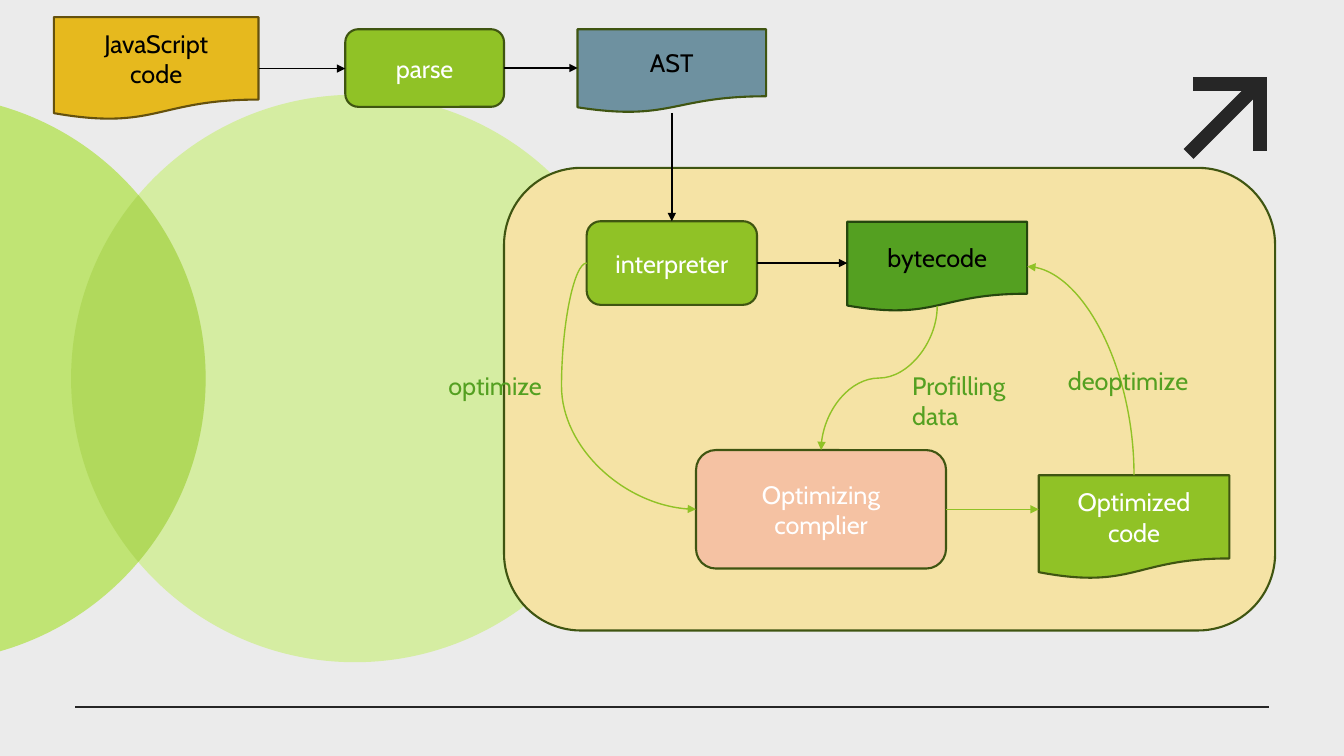
from dataclasses import dataclass
from math import acos, cos, pi, sin, tan

from lxml.etree import SubElement
from pptx import Presentation
from pptx.dml.color import RGBColor
from pptx.enum.shapes import MSO_CONNECTOR, MSO_SHAPE
from pptx.enum.text import MSO_ANCHOR, PP_ALIGN
from pptx.oxml.ns import qn
from pptx.util import Inches, Pt

UNIT = Inches(0.1)
COLUMNS, ROWS = 133.33, 75
COLORS = {
    "background": "EBEBEB", "ink": "262626", "black": "000000", "white": "FFFFFF",
    "pale": "D5EDA2", "light": "C0E474", "lime": "90C226", "green": "54A021",
    "sand": "F5E3A5", "gold": "E6B91E", "slate": "6E91A0", "peach": "F5C2A3",
    "olive": "3F5511", "brown": "65510D", "forest": "25460E",
}


@dataclass
class Box:
    """A rectangle in grid columns and rows."""
    left: float
    top: float
    width: float
    height: float

    def inner(self, left, top, width, height):
        """Return a box placed relative to this one."""
        return Box(self.left + left, self.top + top, width, height)

    def point(self, across, down):
        """Return the point at the given shares of width and height."""
        return self.left + across * self.width, self.top + down * self.height

    def lengths(self):
        """Return the four lengths for python-pptx."""
        return [round(value * UNIT) for value in (self.left, self.top, self.width, self.height)]


def color(name):
    """Return a named colour."""
    return RGBColor.from_string(COLORS[name])


def apply(target, values):
    """Set every attribute in a dict of format values."""
    for name, value in values.items():
        setattr(target, name, value)


def paint(shape, fill, outline=None):
    """Give a shape its fill and outline, without a shadow."""
    shape.shadow.inherit = False
    shape.fill.solid()
    shape.fill.fore_color.rgb = color(fill)
    if outline:
        shape.line.color.rgb = color(outline)
        shape.line.width = Pt(1.5)
    else:
        shape.line.fill.background()


def write(shape, text, text_color, alignment, anchor):
    """Write formatted text into a shape."""
    frame = shape.text_frame
    apply(frame, {"text": text, "word_wrap": True, "vertical_anchor": anchor})
    for paragraph in frame.paragraphs:
        paragraph.alignment = alignment
        for run in paragraph.runs:
            apply(run.font, {"name": "Cabin", "size": Pt(18)})
            run.font.color.rgb = color(text_color)


def add_node(slide, box, kind, fill, outline, text="", text_color="white"):
    """Add one diagram node and return its box."""
    shape = slide.shapes.add_shape(kind, *box.lengths())
    paint(shape, fill, outline)
    if text:
        write(shape, text, text_color, PP_ALIGN.CENTER, MSO_ANCHOR.MIDDLE)
    return box


def add_label(slide, box, text):
    """Add a green caption beside an arrow."""
    write(slide.shapes.add_textbox(*box.lengths()), text, "green", PP_ALIGN.LEFT, MSO_ANCHOR.TOP)


def add_line(slide, start, end, line_color, width=1, arrow=True, kind=MSO_CONNECTOR.STRAIGHT):
    """Add a connector between two grid points."""
    ends = [round(value * UNIT) for value in (*start, *end)]
    connector = slide.shapes.add_connector(kind, *ends)
    connector.line.color.rgb = color(line_color)
    connector.line.width = Pt(width)
    if arrow:
        SubElement(connector.line._get_or_add_ln(), qn("a:tailEnd"), type="triangle")
    SubElement(connector._element.spPr, qn("a:effectLst"))
    return connector


def add_level_arrow(slide, source, target, line_color):
    """Add a horizontal arrow from the source's right to the target's left."""
    start = source.point(1, 0.5)
    add_line(slide, start, (target.left, start[1]), line_color)


def add_curve(slide, start, end, preset="curvedConnector3", bend=None, upright=False):
    """Add a curved arrow, leaving vertically when upright."""
    turn = 0
    if upright:
        middle_x, middle_y = (start[0] + end[0]) / 2, (start[1] + end[1]) / 2
        across, down = end[0] - start[0], end[1] - start[1]
        turn, sign = (90, 1) if down > 0 else (270, -1)
        half_x, half_y = sign * down / 2, -sign * across / 2
        start = middle_x - half_x, middle_y - half_y
        end = middle_x + half_x, middle_y + half_y
    connector = add_line(slide, start, end, "lime", kind=MSO_CONNECTOR.CURVE)
    properties = connector._element.spPr
    properties.find(qn("a:xfrm")).set("rot", str(turn * 60000))
    geometry = properties.find(qn("a:prstGeom"))
    geometry.set("prst", preset)
    if bend is not None:
        guides = geometry.find(qn("a:avLst"))
        SubElement(guides, qn("a:gd"), name="adj1", fmla=f"val {round(bend * 100000)}")


def arc(center, radius, middle, spread):
    """Return a start point and two Bézier segments for an arc."""
    handle = 4 / 3 * tan(spread / 4)

    def place(angle, pull):
        """Return a point on the arc, pulled along its tangent."""
        return (center[0] + radius * (cos(angle) - pull * sin(angle)),
                center[1] + radius * (sin(angle) + pull * cos(angle)))

    points = [place(middle - spread, 0)]
    for start in (middle - spread, middle):
        end = start + spread
        points += [place(start, handle), place(end, -handle), place(end, 0)]
    return points


def add_curved_outline(slide, points, fill):
    """Add a closed freeform of Bézier segments and return it."""
    first, *rest = [(round(x * UNIT), round(y * UNIT)) for x, y in points]
    builder = slide.shapes.build_freeform(*first)
    builder.add_line_segments(rest, close=True)
    shape = builder.convert_to_shape()
    paint(shape, fill)
    lines = list(shape._element.iter(qn("a:lnTo")))
    for index in range(0, len(rest), 3):
        segment = lines[index:index + 3]
        curve = SubElement(segment[0].getparent(), qn("a:cubicBezTo"))
        segment[0].addprevious(curve)
        for line in segment:
            curve.append(line[0])
            line.getparent().remove(line)
    return shape


def draw_circles(slide, box):
    """Draw the overlapping circles, the left one cut by the slide edge."""
    radius = box.height / 2
    right = box.point(0.5, 0.5)
    left = (right[0] - 42.95, right[1])
    circle = slide.shapes.add_shape(MSO_SHAPE.OVAL, *box.lengths())
    paint(circle, "pale")
    add_curved_outline(slide, arc(left, radius, 0, acos(-left[0] / radius)), "light")
    spread = acos((right[0] - left[0]) / 2 / radius)
    lens = arc(left, radius, 0, spread) + arc(right, radius, pi, spread)[1:]
    overlap = add_curved_outline(slide, lens, "lime")
    tint = overlap._element.spPr.find(qn("a:solidFill"))[0]
    SubElement(tint, qn("a:alpha"), val="30000")


def draw_ornaments(slide, box):
    """Draw the corner arrow in its box and the footer rule."""
    corner = box.point(1, 0)
    strokes = [(box.point(0, 0), corner), (corner, box.point(1, 1)),
               (box.point(-0.1, 1.08), box.point(0.88, 0.1))]
    for start, end in strokes:
        stroke = add_line(slide, start, end, "ink", 10, False)
        stroke.line._get_or_add_ln().set("cap", "sq")
    add_line(slide, (7.45, 70.1), (125.85, 70.1), "ink", 1.5, False)


def draw_pipeline(slide, box):
    """Draw the parsing steps and return the box of the syntax tree."""
    document, rounded = MSO_SHAPE.FLOWCHART_DOCUMENT, MSO_SHAPE.ROUNDED_RECTANGLE
    source = add_node(slide, box.inner(0, 0, 20.3, 10.2), document,
                      "gold", "brown", "JavaScript\vcode", "black")
    parse = add_node(slide, box.inner(28.9, 1.2, 15.75, 7.7), rounded, "lime", "olive", "parse")
    tree = add_node(slide, box.inner(51.95, 1.2, 18.7, 8.3), document,
                    "slate", "olive", "AST", "black")
    add_level_arrow(slide, source, parse, "black")
    add_level_arrow(slide, parse, tree, "black")
    return tree


def draw_engine(slide, box, tree):
    """Draw the engine panel with its nodes, arrows and labels."""
    document, rounded = MSO_SHAPE.FLOWCHART_DOCUMENT, MSO_SHAPE.ROUNDED_RECTANGLE
    add_node(slide, box, rounded, "sand", "olive")
    interpreter = add_node(slide, box.inner(8.2, 5.3, 16.9, 8.3), rounded,
                           "lime", "olive", "interpreter")
    bytecode = add_node(slide, box.inner(34.05, 5.35, 17.85, 8.9), document,
                        "green", "forest", "bytecode", "black")
    compiler = add_node(slide, box.inner(19.05, 28, 24.8, 11.75), rounded,
                        "peach", "olive", "Optimizing\ncomplier")
    optimized = add_node(slide, box.inner(53.05, 30.5, 18.9, 10.3), document,
                         "lime", "olive", "Optimized\ncode")
    add_line(slide, tree.point(0.5, 1), interpreter.point(0.5, 0), "black")
    add_level_arrow(slide, interpreter, bytecode, "black")
    add_curve(slide, interpreter.point(0, 0.5), compiler.point(0, 0.5), bend=-0.23)
    add_label(slide, box.inner(-6.5, 19.6, 17.4, 4), "optimize")
    add_curve(slide, bytecode.point(0.5, 0.94), compiler.point(0.5, 0), upright=True)
    add_label(slide, box.inner(39.5, 19.6, 15.1, 7.1), "Profilling data")
    add_level_arrow(slide, compiler, optimized, "lime")
    add_curve(slide, optimized.point(0.5, 0), bytecode.point(1, 0.5),
              "curvedConnector2", upright=True)
    add_label(slide, box.inner(54.95, 19.15, 19.8, 4), "deoptimize")


def main():
    """Build the slide and save it."""
    presentation = Presentation()
    apply(presentation, {"slide_width": round(COLUMNS * UNIT), "slide_height": ROWS * UNIT})
    slide = presentation.slides.add_slide(presentation.slide_layouts[6])
    slide.background.fill.solid()
    slide.background.fill.fore_color.rgb = color("background")
    draw_ornaments(slide, Box(119, 8.3, 6, 6))
    draw_circles(slide, Box(7.05, 9.4, 56.3, 56.3))
    tree = draw_pipeline(slide, Box(5.35, 1.7, 70.6, 10.2))
    draw_engine(slide, Box(50, 16.65, 76.5, 45.9), tree)
    presentation.save("out.pptx")


if __name__ == "__main__":
    main()
